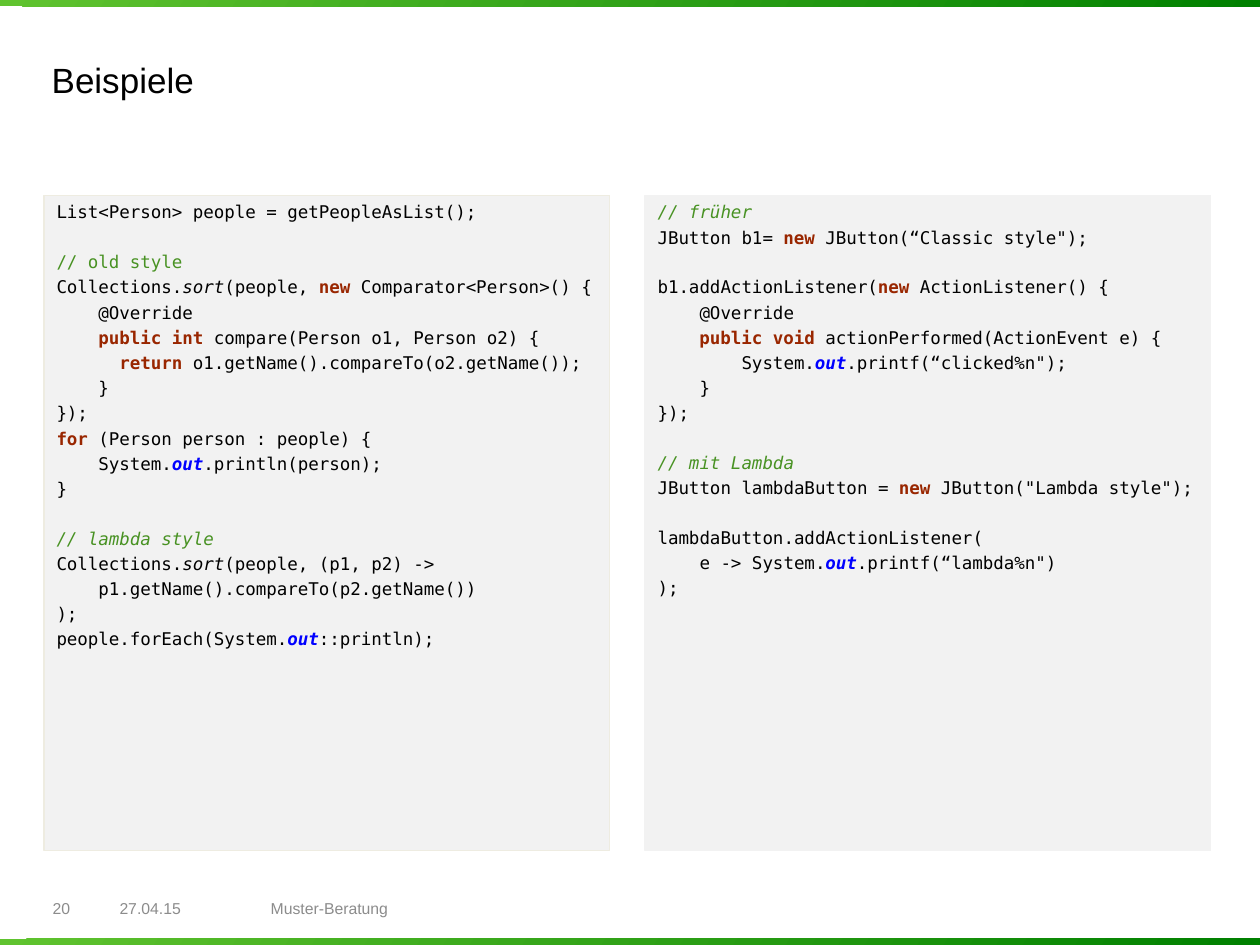
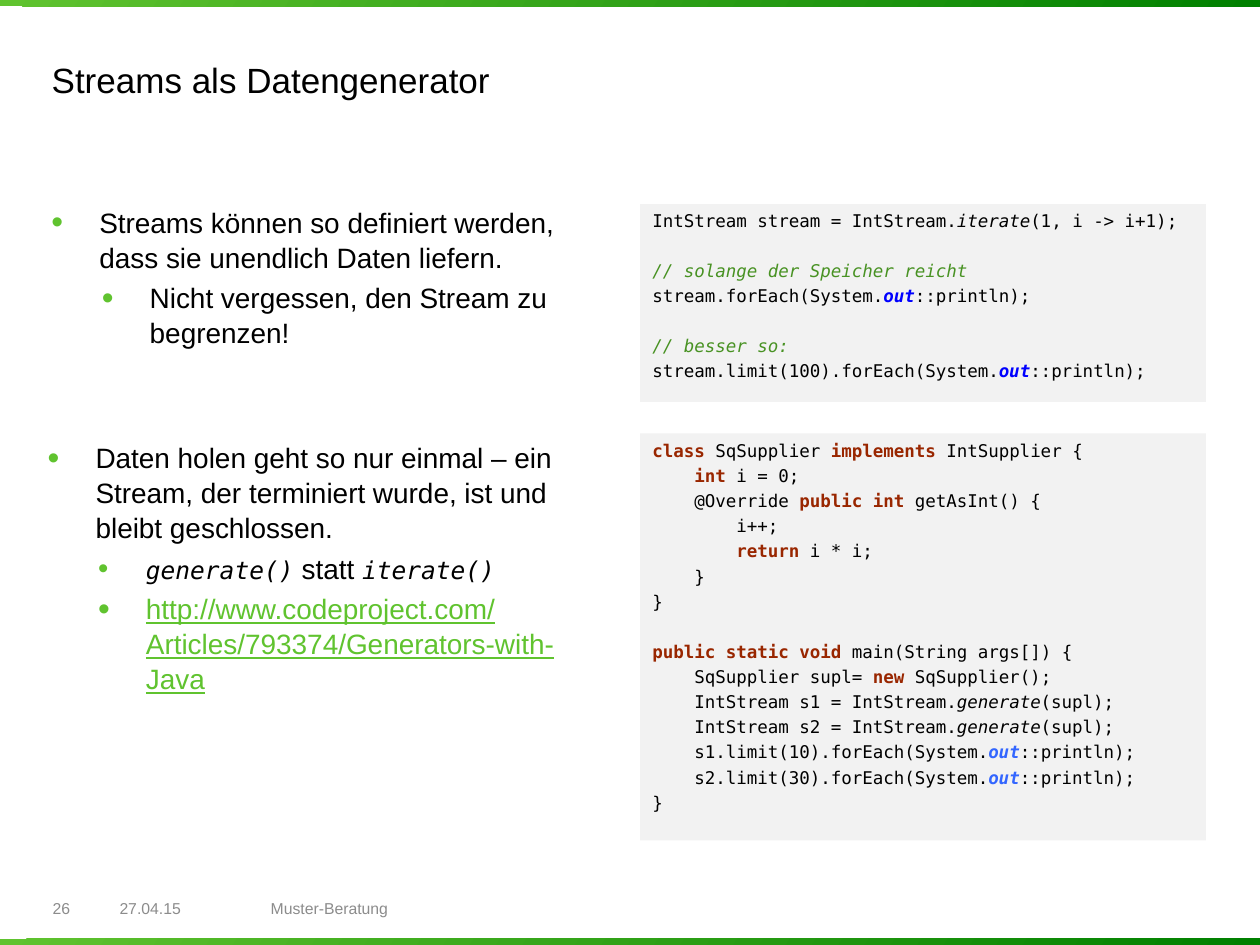
from lxml import etree
from pptx import Presentation
from pptx.dml.color import RGBColor
from pptx.enum.shapes import MSO_SHAPE
from pptx.enum.text import MSO_ANCHOR, PP_ALIGN
from pptx.oxml.ns import qn
from pptx.util import Pt

RECT = MSO_SHAPE.RECTANGLE
TOP, MIDDLE = MSO_ANCHOR.TOP, MSO_ANCHOR.MIDDLE
LEFT = PP_ALIGN.LEFT

PX = 9144  # 100 px to the inch
SANS, MONO = "Arial", "DejaVu Sans Mono"
GREEN, DARK, GREY, PANEL, BLACK = "60C32F", "008000", "8C8C8C", "F2F2F2", "000000"
CODE_GAP, CODE_LINE = 2.38, 14.02
TEXT_GAP, TEXT_LEAD = 3.2, 1.04

# mark: colour, bold, italic, underline
MARKS = {
    "": (BLACK, False, False, False),
    "k": ("992600", True, False, False),   # keyword
    "c": ("489223", False, True, False),   # comment
    "p": ("489223", False, False, False),  # upright comment
    "i": (BLACK, False, True, False),      # static method
    "o": ("0000FF", True, True, False),    # static field
    "l": ("3366FF", True, True, False),    # static field, light
    "m": (BLACK, False, True, False),      # method name in text
    "u": (GREEN, False, False, True),      # web address
    "g": (GREY, False, False, False),      # footer
}

# Runs are split by "|"; a run may start with its mark and "~".
SORT = [
    "List<Person> people = getPeopleAsList();",
    "",
    "p~// old style",
    "Collections.|i~sort|(people, |k~new |Comparator<Person>() {",
    "    @Override",
    "    |k~public int |compare(Person o1, Person o2) {",
    "      |k~return |o1.getName().compareTo(o2.getName());",
    "    }",
    "});",
    "k~for |(Person person : people) {",
    "    System.|o~out|.println(person);",
    "}",
    "",
    "c~// lambda style",
    "Collections.|i~sort|(people, (p1, p2) ->",
    "    p1.getName().compareTo(p2.getName())",
    ");",
    "people.forEach(System.|o~out|::println);",
]
BUTTON = [
    "c~// früher",
    "JButton b1= |k~new |JButton(“Classic style\");",
    "",
    "b1.addActionListener(|k~new |ActionListener() {",
    "    @Override",
    "    |k~public void |actionPerformed(ActionEvent e) {",
    "        System.|o~out|.printf(“clicked%n\");",
    "    }",
    "});",
    "",
    "c~// mit Lambda",
    "JButton lambdaButton = |k~new |JButton(\"Lambda style\");",
    "",
    "lambdaButton.addActionListener(",
    "    e -> System.|o~out|.printf(“lambda%n\")",
    ");",
]
STREAM = [
    "IntStream stream = IntStream.|i~iterate|(1, i -> i+1);",
    "",
    "c~// solange der Speicher reicht",
    "stream.forEach(System.|o~out|::println);",
    "",
    "c~// besser so:",
    "stream.limit(100).forEach(System.|o~out|::println);",
]
SUPPLIER = [
    "k~class |SqSupplier |k~implements |IntSupplier {",
    "    |k~int |i = 0;",
    "    @Override |k~public int |getAsInt() {",
    "        i++;",
    "        |k~return |i * i;",
    "    }",
    "}",
    "",
    "k~public static void |main(String args[]) {",
    "    SqSupplier supl= |k~new |SqSupplier();",
    "    IntStream s1 = IntStream.|i~generate|(supl);",
    "    IntStream s2 = IntStream.|i~generate|(supl);",
    "    s1.limit(10).forEach(System.|l~out|::println);",
    "    s2.limit(30).forEach(System.|l~out|::println);",
    "}",
]
# Bullets: level, text
ENDLESS = [
    (0, "Streams können so definiert werden, dass sie unendlich Daten liefern."),
    (1, "Nicht vergessen, den Stream zu begrenzen!"),
]
ONCE = [
    (0, "Daten holen geht so nur einmal – ein Stream, der terminiert wurde, "
        "ist und bleibt geschlossen."),
    (1, "m~generate()| statt |m~iterate()"),
    (1, "u~http://www.codeproject.com/Articles/793374/Generators-with-Java"),
]
# Panels: left, top, width, height, line colour, code. Lists: left, top, width, height, bullets
SLIDES = [
    ("Beispiele", "20",
     [(35, 155, 449, 520, "EEECE1", SORT), (512, 155, 449, 520, PANEL, BUTTON)], []),
    ("Streams als Datengenerator", "26",
     [(508, 162, 449, 157, None, STREAM), (508, 344, 449, 323, None, SUPPLIER)],
     [(31, 157, 461, 162, ENDLESS), (28, 344, 461, 236, ONCE)]),
]


def tint(code):
    return RGBColor.from_string(code)


def write(para, text, face, size):
    """Add marked text to a paragraph, run by run."""
    para.alignment = LEFT
    for piece in text.split("|"):
        mark, _, words = piece.rpartition("~")
        run = para.add_run()
        run.text = words
        font = run.font
        code, font.bold, font.italic, font.underline = MARKS[mark]
        font.color.rgb = tint(code)
        font.name = MONO if mark == "m" else face
        font.size = Pt(14 if mark == "m" else size)


deck = Presentation()
deck.slide_width, deck.slide_height = 1000 * PX, 750 * PX

for title, page, panels, lists in SLIDES:
    slide = deck.slides.add_slide(deck.slide_layouts[5])
    shapes = slide.shapes

    for top in (0, 745):
        band = shapes.add_shape(RECT, 0, top * PX, 1000 * PX, 5 * PX)
        band.shadow.inherit = False
        band.line.fill.background()
        band.fill.gradient()
        band.fill.gradient_angle = 328
        for stop, code in zip(band.fill.gradient_stops, (GREEN, DARK)):
            stop.color.rgb = tint(code)

    head = shapes.title
    head.left, head.top, head.width, head.height = [n * PX for n in (31, 40, 862, 87)]
    head.text_frame.vertical_anchor = TOP
    para = head.text_frame.paragraphs[0]
    para.line_spacing = TEXT_LEAD
    write(para, title, SANS, 20)

    for left, width, text in ((32, 53, page), (85, 119, "27.04.15"),
                              (205, 489, "Muster-Beratung")):
        foot = shapes.add_textbox(left * PX, 707 * PX, width * PX, 28 * PX)
        foot.text_frame.word_wrap = True
        foot.text_frame.vertical_anchor = MIDDLE
        write(foot.text_frame.paragraphs[0], "g~" + text, SANS, 9)

    for *spot, edge, code in panels:
        panel = shapes.add_shape(RECT, *[n * PX for n in spot])
        panel.shadow.inherit = False
        panel.fill.solid()
        panel.fill.fore_color.rgb = tint(PANEL)
        if edge:
            panel.line.color.rgb = tint(edge)
            panel.line.width = Pt(0.75)
        else:
            panel.line.fill.background()
        frame = panel.text_frame
        frame.word_wrap = True
        frame.vertical_anchor = TOP
        gap = 0
        for row, text in enumerate(code):
            if not text:
                gap += CODE_LINE
                continue
            para = frame.add_paragraph() if row else frame.paragraphs[0]
            para.space_before = Pt(gap)
            write(para, text, MONO, 10)
            gap = CODE_GAP

    for *spot, items in lists:
        frame = shapes.add_textbox(*[n * PX for n in spot]).text_frame
        frame.word_wrap = True
        for row, (level, text) in enumerate(items):
            para = frame.add_paragraph() if row else frame.paragraphs[0]
            para.level = level
            para.line_spacing = TEXT_LEAD
            para.space_before = Pt(TEXT_GAP if row else 0)
            props = para._p.get_or_add_pPr()
            props.set("marL", str((38 + 40 * level) * PX))
            props.set("indent", str(-38 * PX))
            hue = etree.SubElement(props, qn("a:buClr"))
            etree.SubElement(hue, qn("a:srgbClr"), val=GREEN)
            etree.SubElement(props, qn("a:buSzPct"), val="120000")
            etree.SubElement(props, qn("a:buFont"), typeface=SANS)
            etree.SubElement(props, qn("a:buChar"), char="•")
            write(para, text, SANS, 16)

deck.save("out.pptx")
